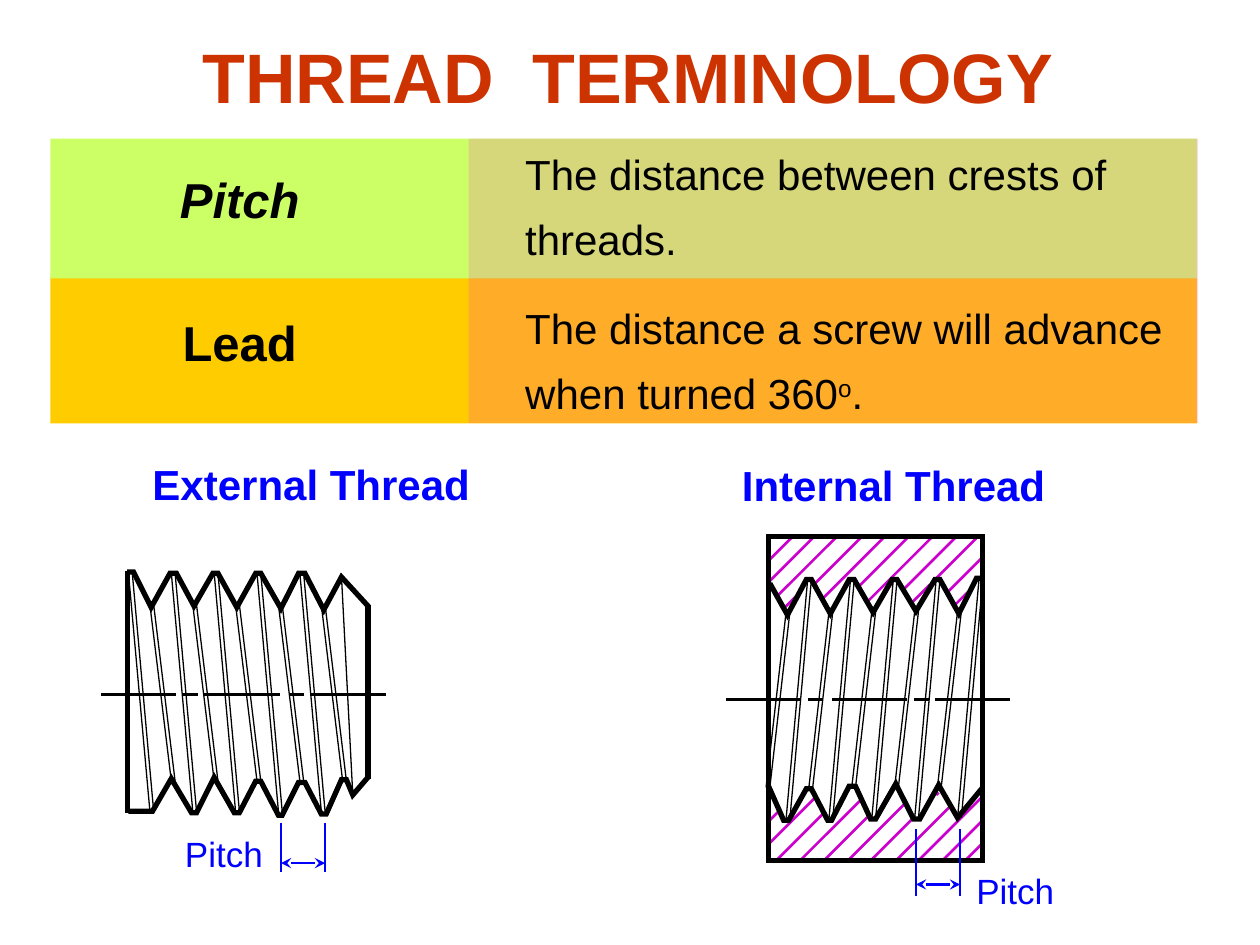
from dataclasses import dataclass

from lxml.etree import SubElement
from pptx import Presentation
from pptx.dml.color import RGBColor
from pptx.enum.shapes import MSO_CONNECTOR as Connector, MSO_SHAPE as Shape
from pptx.enum.text import MSO_AUTO_SIZE as AutoSize, PP_ALIGN as Align
from pptx.oxml.ns import qn
from pptx.util import Inches, Pt


@dataclass(frozen=True)
class Theme:
    font: str = "Arial"
    ink: str = "000000"
    title: str = "CC3300"
    blue: str = "0000FF"
    hatch: str = "CC00CC"
    pitch_band: str = "CCFF66"
    lead_band: str = "FFCC00"
    definition_tint: str = "FF33CC"
    title_size: int = 40
    term_size: int = 28
    body_size: int = 24
    label_size: int = 20
    thick: float = 3
    medium: float = 1.5
    thin: float = 0.75


theme = Theme()


def add_line(shapes, start, end, color=theme.ink, width=theme.thin):
    line = shapes.add_connector(
        Connector.STRAIGHT, *(Inches(value) for value in (*start, *end)))
    line.line.color.rgb = RGBColor.from_string(color)
    line.line.width = Pt(width)
    SubElement(line._element.spPr, qn("a:effectLst"))
    return line


def add_text(shapes, box, lines, size, color=theme.ink, bold=False, italic=False,
             align=Align.LEFT, spacing=None):
    """Add a text box; each line is a list of (text, superscript) runs."""
    frame = shapes.add_textbox(*(Inches(value) for value in box)).text_frame
    frame.word_wrap = True
    frame.auto_size = AutoSize.SHAPE_TO_FIT_TEXT
    for index, runs in enumerate(lines):
        paragraph = frame.add_paragraph() if index else frame.paragraphs[0]
        paragraph.alignment = align
        paragraph.line_spacing = spacing
        for text, superscript in runs:
            run = paragraph.add_run()
            run.text = text
            run.font.name = theme.font
            run.font.size = Pt(size)
            run.font.bold = bold
            run.font.italic = italic
            run.font.color.rgb = RGBColor.from_string(color)
            if superscript:
                run._r.get_or_add_rPr().set("baseline", "30000")


presentation = Presentation()
presentation.slide_width = Inches(10)
presentation.slide_height = Inches(7.5)
slide = presentation.slides.add_slide(presentation.slide_layouts[6])

# Definition bands, with a translucent tint over the right-hand column
for box, color, opacity in [
    ((0.4, 2.19, 9.1, 1.17), theme.lead_band, 100),
    ((0.4, 1.1, 9.1, 1.11), theme.pitch_band, 100),
    ((3.72, 1.1, 5.79, 2.26), theme.definition_tint, 20),
]:
    band = slide.shapes.add_shape(Shape.RECTANGLE, *(Inches(value) for value in box))
    band.shadow.inherit = False
    band.line.fill.background()
    band.fill.solid()
    band.fill.fore_color.rgb = RGBColor.from_string(color)
    if opacity < 100:
        tint = band._element.spPr.find(qn("a:solidFill"))[0]
        SubElement(tint, qn("a:alpha")).set("val", str(opacity * 1000))

# Title, terms, definitions and headings
add_text(slide.shapes, (1.33, 1.3, 1.25, 0.57), [[("Pitch", False)]],
         theme.term_size, bold=True, italic=True)
add_text(slide.shapes, (4.07, 1.01, 5.1, 1.14),
         [[("The distance between crests of", False)], [("threads.", False)]],
         theme.body_size, spacing=1.3)
add_text(slide.shapes, (1.35, 2.43, 1.25, 0.57), [[("Lead", False)]],
         theme.term_size, bold=True)
add_text(slide.shapes, (4.07, 2.23, 5.58, 1.14),
         [[("The distance a screw will advance when turned 360", False),
           ("o", True), (".", False)]],
         theme.body_size, spacing=1.3)
add_text(slide.shapes, (1.51, 0.22, 7.1, 0.77), [[("THREAD  TERMINOLOGY", False)]],
         theme.title_size, theme.title, bold=True)
add_text(slide.shapes, (5.79, 3.6, 3.04, 0.5), [[("Internal Thread", False)]],
         theme.body_size, theme.blue, bold=True)
add_text(slide.shapes, (0.85, 3.59, 3.24, 0.5), [[("External Thread", False)]],
         theme.body_size, theme.blue, bold=True, align=Align.CENTER)

external = slide.shapes.add_group_shape().shapes
internal = slide.shapes.add_group_shape().shapes

# Section hatching at 45 degrees: left, bottom, rise
for left, bottom, rise in [
    (6.1, 6.52, 0.09), (6.1, 6.7, 0.37), (6.17, 6.82, 0.37), (6.36, 6.82, 0.47),
    (6.54, 6.83, 0.36), (6.73, 6.83, 0.45), (6.91, 6.83, 0.35), (7.11, 6.83, 0.43),
    (7.29, 6.83, 0.51), (7.43, 6.31, 0.02), (7.48, 6.83, 0.32), (7.66, 6.83, 0.14),
    (6.1, 4.45, 0.19), (6.11, 4.61, 0.36), (6.17, 4.73, 0.48), (6.46, 4.64, 0.38),
    (6.22, 4.83, 0.09), (6.52, 4.76, 0.51), (6.81, 4.66, 0.41), (6.88, 4.78, 0.53),
    (7.18, 4.67, 0.41), (7.42, 4.6, 0.35), (7.52, 4.7, 0.27), (7.58, 4.8, 0.1),
    (7.23, 4.79, 0.15),
]:
    add_line(internal, (left, bottom), (left + rise, bottom - rise),
             theme.hatch, theme.medium)

# Thread profiles and the nut's outer walls
external_top = [
    (1.01, 4.54), (1.06, 4.54), (1.2, 4.82), (1.35, 4.55), (1.4, 4.55), (1.54, 4.81),
    (1.69, 4.55), (1.73, 4.55), (1.88, 4.82), (2.03, 4.55), (2.07, 4.55), (2.23, 4.83),
    (2.37, 4.55), (2.42, 4.55), (2.57, 4.84), (2.71, 4.58), (2.93, 4.82)]
external_bottom = [
    (1.02, 6.44), (1.21, 6.44), (1.36, 6.18), (1.52, 6.45), (1.56, 6.45), (1.7, 6.17),
    (1.86, 6.45), (1.9, 6.45), (2.03, 6.2), (2.07, 6.2), (2.21, 6.47), (2.24, 6.47),
    (2.37, 6.21), (2.42, 6.21), (2.55, 6.46), (2.59, 6.46), (2.71, 6.19), (2.75, 6.19),
    (2.8, 6.31), (2.92, 6.17)]
internal_top = [
    (7.8, 4.59), (7.75, 4.59), (7.61, 4.87), (7.46, 4.6), (7.42, 4.6), (7.27, 4.85),
    (7.12, 4.6), (7.08, 4.6), (6.93, 4.86), (6.78, 4.6), (6.74, 4.6), (6.59, 4.87),
    (6.44, 4.6), (6.4, 4.6), (6.25, 4.88), (6.11, 4.63)]
internal_bottom = [
    (7.8, 6.25), (7.6, 6.49), (7.45, 6.23), (7.3, 6.5), (7.25, 6.5), (7.11, 6.22),
    (6.95, 6.5), (6.91, 6.5), (6.79, 6.24), (6.74, 6.24), (6.6, 6.51), (6.57, 6.51),
    (6.44, 6.26), (6.4, 6.26), (6.26, 6.51), (6.22, 6.51), (6.1, 6.24)]
wall_bottom = [(6.1, 6.45), (6.1, 6.83), (7.8, 6.83), (7.8, 6.46)]
wall_top = [(6.1, 4.65), (6.1, 4.26), (7.8, 4.26), (7.8, 4.58)]
for shapes, points in [
    (external, external_top), (external, external_bottom), (internal, wall_bottom),
    (internal, wall_top), (internal, internal_top), (internal, internal_bottom),
]:
    start, *rest = [(Inches(x), Inches(y)) for x, y in points]
    builder = shapes.build_freeform(*start)
    builder.add_line_segments(rest, close=False)
    outline = builder.convert_to_shape()
    outline.shadow.inherit = False
    outline.fill.background()
    outline.line.color.rgb = RGBColor.from_string(theme.ink)
    outline.line.width = Pt(theme.thick)
    SubElement(outline.get_or_add_ln(), qn("a:miter")).set("lim", "800000")

# Helix lines: a close pair for each crest and root, one thread pitch apart
thread_pitch, pair_gap = 0.34, 0.03
for shapes, left, top, bottom, lean in [
    (external, 1.02, 4.55, 6.44, 0.17), (external, 1.19, 4.8, 6.2, 0.17),
    (internal, 6.41, 4.6, 6.49, -0.17), (internal, 6.24, 4.85, 6.25, -0.16),
]:
    for turn in range(5):
        for offset in (0, pair_gap):
            x = left + turn * thread_pitch + offset
            add_line(shapes, (x, top), (x + lean, bottom))
add_line(external, (2.71, 4.57), (2.8, 6.31))

# End faces
for shapes, x, top, bottom in [
    (external, 1.01, 4.53, 6.45), (external, 2.92, 4.81, 6.18),
    (internal, 7.8, 4.57, 6.51), (internal, 6.1, 4.62, 6.46),
]:
    add_line(shapes, (x, top), (x, bottom), width=theme.thick)

# Centre lines, mirrored on the internal thread
for shapes, origin, y, direction in [(external, 0.8, 5.51, 1), (internal, 8.02, 5.55, -1)]:
    for dash_start, dash_end in [(0, 0.6), (0.65, 0.77), (0.82, 1.42),
                                 (1.49, 1.61), (1.66, 2.26)]:
        add_line(shapes, (origin + direction * dash_start, y),
                 (origin + direction * dash_end, y), width=theme.medium)

# Pitch dimensions
for left, top, bottom, arrow_y, label_box in [
    (2.23, 6.53, 6.92, 6.85, (1.37, 6.56, 0.9, 0.44)),
    (7.27, 6.58, 7.11, 7.02, (7.65, 6.85, 0.9, 0.44)),
]:
    dimension = slide.shapes.add_group_shape().shapes
    right = left + 0.35
    for x in (left, right):
        add_line(dimension, (x, top), (x, bottom), theme.blue, theme.medium)
    arrow = add_line(dimension, (left, arrow_y), (right, arrow_y),
                     theme.blue, theme.medium)
    for end in ("a:headEnd", "a:tailEnd"):
        SubElement(arrow.get_or_add_ln(), qn(end)).set("type", "stealth")
    add_text(dimension, label_box, [[("Pitch", False)]], theme.label_size, theme.blue)

presentation.save("out.pptx")
